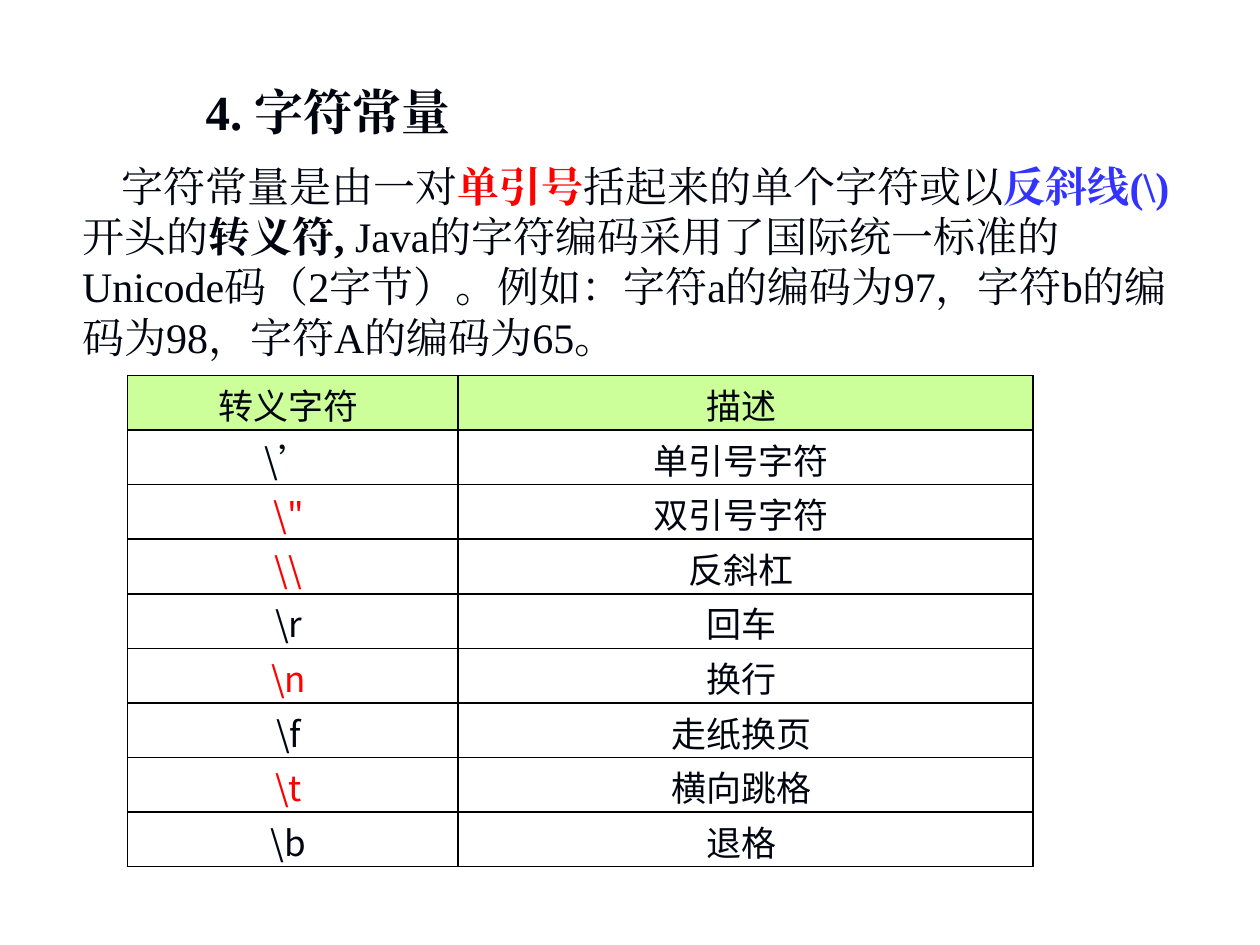
from dataclasses import dataclass
from pptx import Presentation
from pptx.dml.color import RGBColor
from pptx.enum.text import MSO_ANCHOR, MSO_AUTO_SIZE, PP_ALIGN
from pptx.oxml.ns import qn
from pptx.util import Cm, Pt
from lxml.etree import SubElement


@dataclass(frozen=True)
class Theme:
    ink: str = "000510"
    red: str = "FF0000"
    blue: str = "3333FF"
    head: str = "CCFF99"
    paper: str = "FFFFFF"
    line: str = "000000"
    serif: str = "Times New Roman"
    sans: str = "Noto Sans CJK SC"
    title: int = 28
    body: int = 24
    cell: int = 20


class Deck:
    def __init__(self, theme):
        self.theme = theme
        self.file = Presentation()
        self.file.slide_width = Cm(25.4)
        self.file.slide_height = Cm(19.05)
        self.slide = None

    def page(self):
        self.slide = self.file.slides.add_slide(self.file.slide_layouts[1])

    def style(self, run, size, face, color, bold=False):
        font = run.font
        font.size = Pt(size)
        font.name = face
        font.bold = bold
        font.color.rgb = RGBColor.from_string(color)
        SubElement(font._element, qn("a:ea"), typeface=face)

    def place(self, shape, box, anchor):
        shape.left, shape.top, shape.width, shape.height = map(Cm, box)
        frame = shape.text_frame
        frame.word_wrap = True
        frame.auto_size = MSO_AUTO_SIZE.NONE
        frame.vertical_anchor = anchor
        return frame.paragraphs[0]

    def title(self, text, box):
        para = self.place(self.slide.shapes.title, box, MSO_ANCHOR.MIDDLE)
        para.text = text
        para.alignment = PP_ALIGN.LEFT
        self.style(para.runs[0], self.theme.title, self.theme.serif,
                   self.theme.ink, True)

    def body(self, parts, box, indent):
        para = self.place(self.slide.placeholders[1], box, MSO_ANCHOR.TOP)
        para.space_before = Pt(0)
        props = para._p.get_or_add_pPr()
        props.set("marL", "0")
        props.set("indent", str(Cm(indent)))
        SubElement(props, qn("a:buNone"))
        for text, color, bold in parts:
            run = para.add_run()
            run.text = text
            self.style(run, self.theme.body, self.theme.serif, color, bold)

    def border(self, cell):
        props = cell._tc.get_or_add_tcPr()
        for side in ("lnL", "lnR", "lnT", "lnB"):
            line = SubElement(props, qn(f"a:{side}"), w=str(Pt(1)))
            fill = SubElement(line, qn("a:solidFill"))
            SubElement(fill, qn("a:srgbClr"), val=self.theme.line)

    def cell(self, cell, text, color, back):
        self.border(cell)
        cell.fill.solid()
        cell.fill.fore_color.rgb = RGBColor.from_string(back)
        cell.vertical_anchor = MSO_ANCHOR.MIDDLE
        cell.margin_left = Cm(0.25)
        cell.margin_right = Cm(0.41)
        cell.margin_top = Cm(0.06)
        cell.margin_bottom = Cm(0)
        para = cell.text_frame.paragraphs[0]
        para.text = text
        para.alignment = PP_ALIGN.CENTER
        self.style(para.runs[0], self.theme.cell, self.theme.sans, color)

    def table(self, rows, marked, left, top, widths, height):
        grid = self.slide.shapes.add_table(
            len(rows), len(widths), Cm(left), Cm(top),
            Cm(sum(widths)), Cm(height * len(rows))).table
        grid.horz_banding = False
        grid.first_row = False
        for col, width in zip(grid.columns, widths):
            col.width = Cm(width)
        for r, row in enumerate(rows):
            grid.rows[r].height = Cm(height)
            back = self.theme.paper if r else self.theme.head
            for c, text in enumerate(row):
                color = self.theme.red if text in marked else self.theme.ink
                self.cell(grid.cell(r, c), text, color, back)

    def save(self):
        self.file.save("out.pptx")


def main():
    theme = Theme()
    deck = Deck(theme)
    deck.page()
    deck.title("4. 字符常量", (3.89, 1.52, 15.6, 1.45))
    deck.body([
        ("字符常量是由一对", theme.ink, False),
        ("单引号", theme.red, True),
        ("括起来的单个字符或以", theme.ink, False),
        ("反斜线(\\)", theme.blue, True),
        ("开头的", theme.ink, False),
        ("转义符,", theme.ink, True),
        (" Java的字符编码采用了国际统一标准的Unicode码（2字节）。"
         "例如：字符a的编码为97，字符b的编码为98，字符A的编码为65。",
         theme.ink, False),
    ], (1.4, 3.1, 22.81, 4.37), 0.8)
    rows = [
        ("转义字符", "描述"),
        ("\\’", "单引号字符"),
        ("\\\"", "双引号字符"),
        ("\\\\", "反斜杠"),
        ("\\r", "回车"),
        ("\\n", "换行"),
        ("\\f", "走纸换页"),
        ("\\t", "横向跳格"),
        ("\\b", "退格"),
    ]
    deck.table(rows, {"\\\"", "\\\\", "\\n", "\\t"},
               2.57, 7.57, (6.66, 11.59), 1.1)
    deck.save()


if __name__ == "__main__":
    main()
